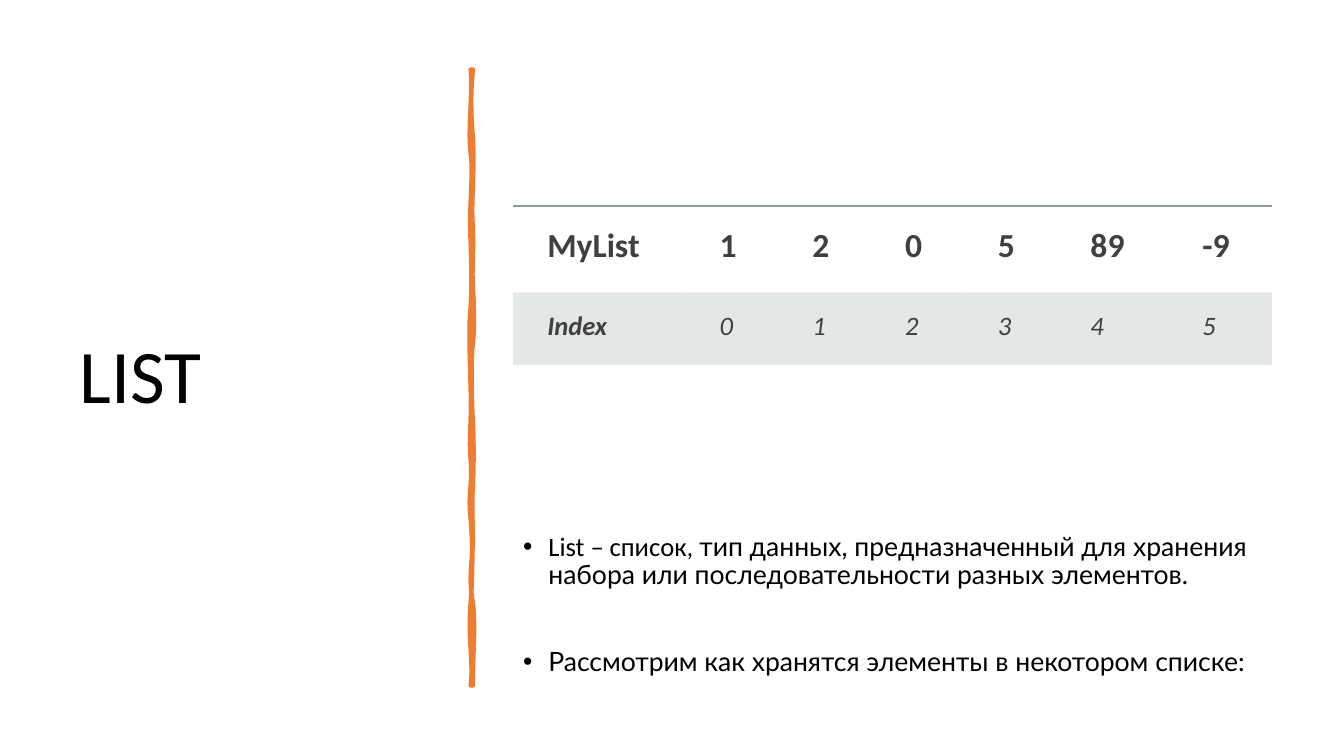
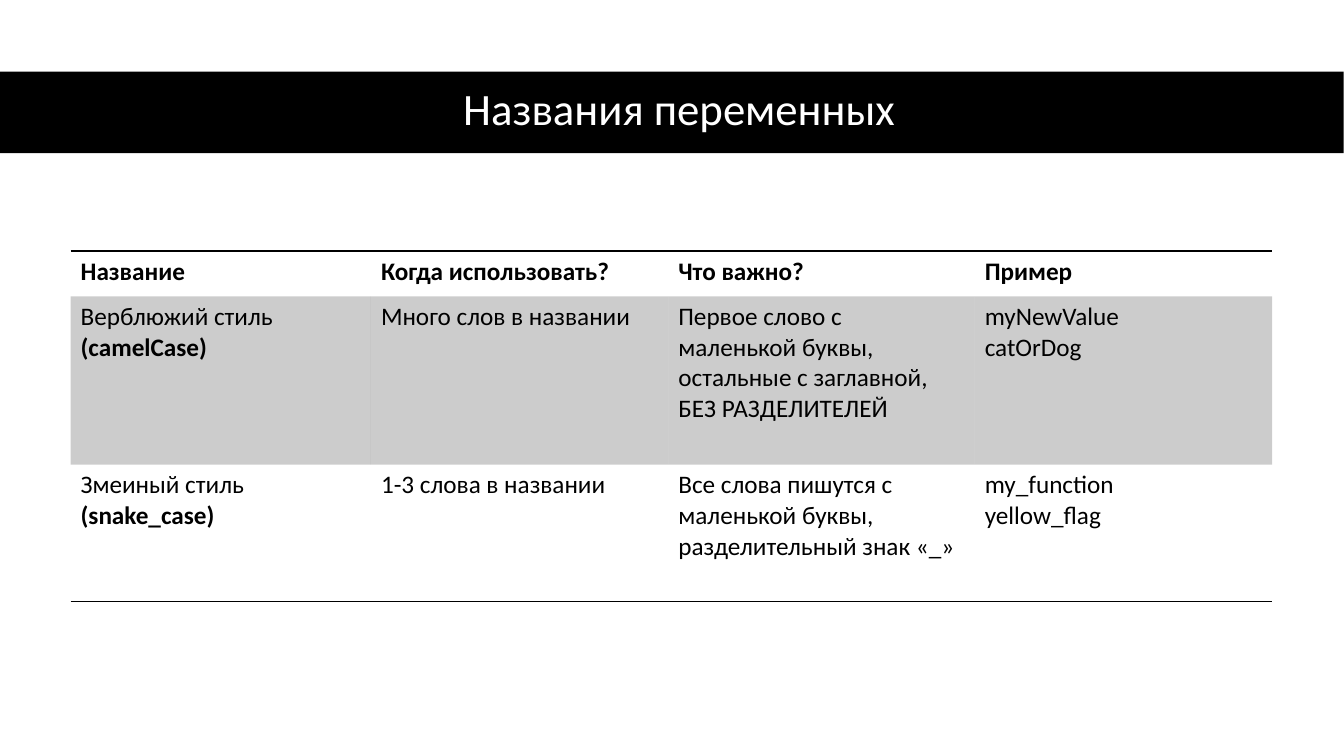
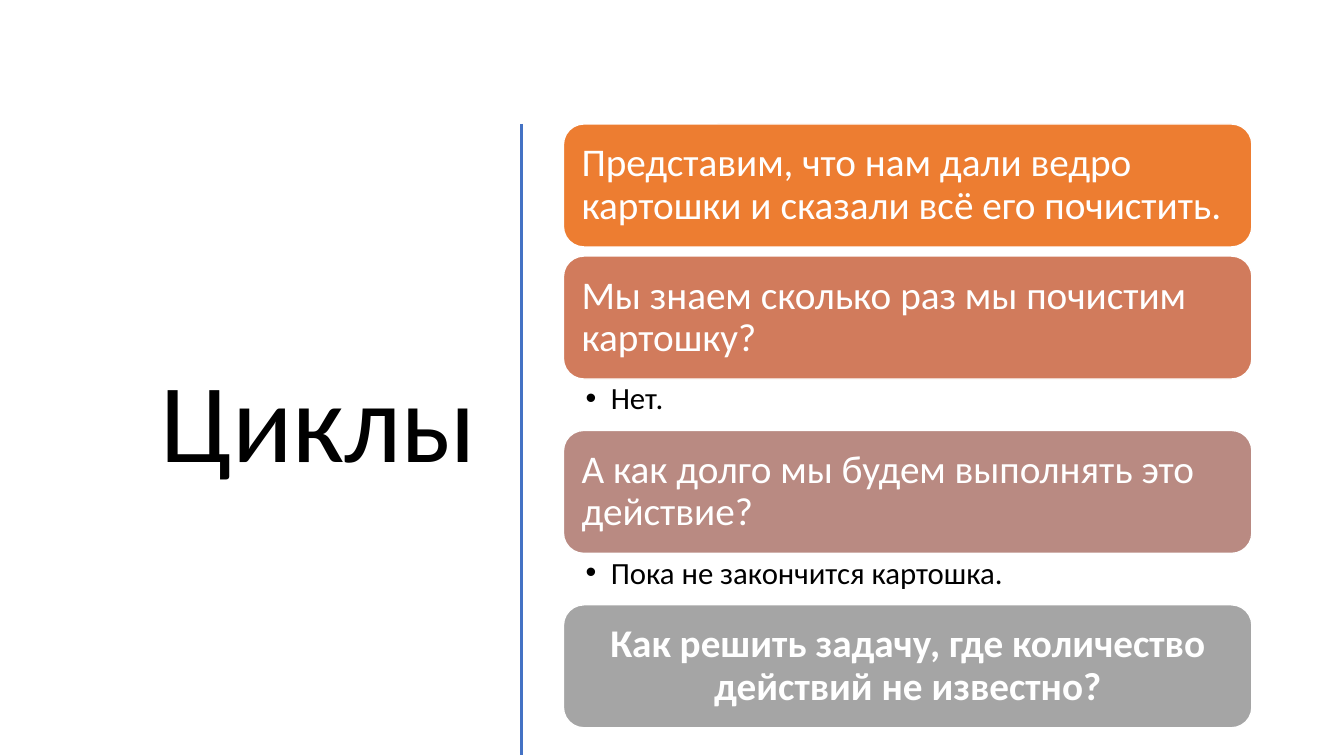
from dataclasses import dataclass, field
from typing import Any, Optional

from lxml import etree
from pptx import Presentation
from pptx.dml.color import RGBColor
from pptx.enum.shapes import MSO_CONNECTOR, MSO_SHAPE
from pptx.enum.text import MSO_ANCHOR, MSO_AUTO_SIZE, PP_ALIGN
from pptx.oxml.ns import qn
from pptx.util import Inches, Pt

LEFT, MID, RIGHT = PP_ALIGN.LEFT, PP_ALIGN.CENTER, PP_ALIGN.RIGHT
TOP, CENTER = MSO_ANCHOR.TOP, MSO_ANCHOR.MIDDLE
RECT, ROUND = MSO_SHAPE.RECTANGLE, MSO_SHAPE.ROUNDED_RECTANGLE
STRAIGHT, FIXED = MSO_CONNECTOR.STRAIGHT, MSO_AUTO_SIZE.NONE

HEX = {
    "black": "000000", "white": "FFFFFF", "text": "404040",
    "orange": "ED7D31", "rust": "D17B5C", "rose": "B98A82",
    "gray": "A5A5A5", "blue": "4472C4", "rule": "8F9A9D",
    "pale": "B4BCBE",
}
FONT = "Calibri"
Box = tuple[float, float, float, float]


@dataclass
class Run:
    text: str
    size: float = 18
    color: str = "black"
    bold: bool = False
    italic: bool = False
    font: str = FONT


@dataclass
class Tint:
    color: str
    alpha: int = 100
    width: float = 1


@dataclass
class Row:
    height: float
    cells: list[list[list[Run]]]
    inset: Box
    fill: Optional[Tint] = None
    rules: dict[str, Tint] = field(default_factory=dict)


@dataclass
class Card:
    text: str
    color: str
    answer: str = ""
    align: Any = LEFT
    bold: bool = False


def rgb(name: str) -> RGBColor:
    return RGBColor.from_string(HEX[name])


def place(shape: Any, box: Box) -> None:
    shape.left, shape.top, shape.width, shape.height = map(Inches, box)


def frame(shape: Any, inset: Box, anchor: Any) -> Any:
    text = shape.text_frame
    text.word_wrap, text.auto_size = True, FIXED
    text.vertical_anchor = anchor
    (text.margin_left, text.margin_top,
     text.margin_right, text.margin_bottom) = map(Inches, inset)
    return text


def write(para: Any, runs: list[Run]) -> None:
    for item in runs:
        run = para.add_run()
        run.text = item.text
        font = run.font
        font.name, font.size = item.font, Pt(item.size)
        font.bold, font.italic = item.bold, item.italic
        font.color.rgb = rgb(item.color)


def bullet(para: Any) -> None:
    props = para._p.get_or_add_pPr()
    props.set("marL", str(Inches(0.25)))
    props.set("indent", str(-Inches(0.25)))
    etree.SubElement(props, qn("a:buFont")).set("typeface", "Arial")
    etree.SubElement(props, qn("a:buChar")).set("char", "•")


def title(slide: Any, text: str, box: Box, size: float,
          align: Any = LEFT, color: str = "black") -> Any:
    shape = slide.shapes.title
    place(shape, box)
    para = frame(shape, (0.1, 0.05, 0.1, 0.05), CENTER).paragraphs[0]
    para.alignment, para.line_spacing = align, 0.9
    write(para, [Run(text, size, color)])
    return shape


def block(slide: Any, kind: Any, box: Box, color: str) -> Any:
    shape = slide.shapes.add_shape(kind, *map(Inches, box))
    shape.shadow.inherit = False
    shape.fill.solid()
    shape.fill.fore_color.rgb = rgb(color)
    shape.line.fill.background()
    return shape


def paint(parent: Any, tint: Optional[Tint]) -> None:
    if tint is None:
        etree.SubElement(parent, qn("a:noFill"))
        return
    fill = etree.SubElement(parent, qn("a:solidFill"))
    color = etree.SubElement(fill, qn("a:srgbClr"))
    color.set("val", HEX[tint.color])
    if tint.alpha < 100:
        etree.SubElement(color, qn("a:alpha")).set(
            "val", str(tint.alpha * 1000))


def dress(cell: Any, row: Row) -> None:
    props = cell._tc.get_or_add_tcPr()
    for side in ("L", "R", "T", "B"):
        line = etree.SubElement(props, qn(f"a:ln{side}"))
        tint = row.rules.get(side)
        if tint:
            line.set("w", str(Pt(tint.width)))
        paint(line, tint)
    paint(props, row.fill)


def grid(slide: Any, left: float, top: float,
         widths: list[float], rows: list[Row]) -> None:
    box = (left, top, sum(widths), sum(row.height for row in rows))
    table = slide.shapes.add_table(
        len(rows), len(widths), *map(Inches, box)).table
    table.first_row = table.horz_banding = False
    for col, width in zip(table.columns, widths):
        col.width = Inches(width)
    for line, row in zip(table.rows, rows):
        line.height = Inches(row.height)
        for cell, paras in zip(line.cells, row.cells):
            (cell.margin_left, cell.margin_top,
             cell.margin_right, cell.margin_bottom) = map(Inches, row.inset)
            for num, runs in enumerate(paras):
                text = cell.text_frame
                write(text.add_paragraph() if num else text.paragraphs[0], runs)
            dress(cell, row)


# Brush stroke: each curve is two control points and an end point
START = (4.69, 0.69)
CURVES = [
    (4.68, 0.69, 4.67, 0.69, 4.67, 0.69), (4.69, 0.94, 4.64, 1.3, 4.67, 1.52),
    (4.7, 1.73, 4.65, 2.05, 4.67, 2.4), (4.68, 2.76, 4.68, 2.88, 4.67, 3.04),
    (4.65, 3.21, 4.66, 3.53, 4.67, 3.87), (4.68, 4.21, 4.65, 4.33, 4.67, 4.57),
    (4.69, 4.82, 4.64, 4.89, 4.67, 5.15), (4.69, 5.41, 4.69, 5.62, 4.67, 5.98),
    (4.64, 6.33, 4.7, 6.6, 4.67, 6.8), (4.67, 6.8, 4.68, 6.8, 4.69, 6.8),
    (4.69, 6.43, 4.72, 6.22, 4.69, 5.98), (4.65, 5.74, 4.68, 5.61, 4.69, 5.4),
    (4.69, 5.19, 4.68, 4.98, 4.69, 4.82), (4.7, 4.66, 4.7, 4.33, 4.69, 4.17),
    (4.68, 4.02, 4.67, 3.57, 4.69, 3.41), (4.71, 3.25, 4.7, 3, 4.69, 2.83),
    (4.68, 2.66, 4.7, 2.5, 4.69, 2.25), (4.67, 2, 4.71, 1.73, 4.69, 1.36),
    (4.66, 1, 4.68, 0.83, 4.69, 0.69),
]


def brush(slide: Any) -> None:
    ends = [tuple(map(Inches, curve[4:])) for curve in CURVES]
    outline = slide.shapes.build_freeform(*map(Inches, START), scale=1.0)
    outline.add_line_segments(ends, close=True)
    shape = outline.convert_to_shape()
    # Bend the straight segments
    lines = list(shape._element.iter(qn("a:lnTo")))
    for line, curve in zip(lines, CURVES):
        line.tag = qn("a:cubicBezTo")
        for child in list(line):
            line.remove(child)
        for x, y in zip(curve[::2], curve[1::2]):
            point = etree.SubElement(line, qn("a:pt"))
            point.set("x", str(Inches(x) - shape.left))
            point.set("y", str(Inches(y) - shape.top))
    shape.shadow.inherit = False
    shape.fill.solid()
    shape.fill.fore_color.rgb = rgb("orange")
    shape.line.color.rgb = rgb("orange")
    shape.line.width = Pt(3.25)


def lists(deck: Any) -> None:
    slide = deck.slides.add_slide(deck.slide_layouts[1])
    title(slide, "LIST", (0.69, 0.7, 3.74, 6.11), 54)
    brush(slide)

    # Definition
    body = slide.placeholders[1]
    place(body, (5.09, 5.24, 7.54, 1.56))
    text = frame(body, (0.1, 0.05, 0.1, 0.05), TOP)
    items = [
        [Run("List – список, ", 19),
         Run("тип данных, предназначенный для хранения набора или "
             "последовательности разных элементов.", 19, font="Lato")],
        [Run("Рассмотрим как хранятся элементы в некотором списке:", 19,
             font="Lato")],
    ]
    for num, runs in enumerate(items):
        para = text.add_paragraph() if num else text.paragraphs[0]
        para.line_spacing, para.space_before = 0.9, Pt(41 * num)
        bullet(para)
        write(para, runs)

    # Values and their indexes
    head = [[[Run(word, 24, "text", True)]]
            for word in ("MyList", "1", "2", "0", "5", "89", "-9")]
    index = [[[Run(word, 19, "text", word == "Index", True)]]
             for word in ("Index", *map(str, range(6)))]
    grid(slide, 5.09, 2.04, [1.71] + [0.92] * 4 + [1.11, 1.03], [
        Row(0.86, head, (0.34, 0.2, 0.2, 0.2),
            rules={"T": Tint("rule", 60, 1.5)}),
        Row(0.72, index, (0.34, 0.18, 0.18, 0.18), Tint("pale", 35)),
    ])


def names(deck: Any) -> None:
    slide = deck.slides.add_slide(deck.slide_layouts[5])
    bar = block(slide, RECT, (0, 0.71, 13.33, 0.81), "black")
    head = title(slide, "Названия переменных", (0.61, 0.7, 12.26, 0.81),
                 32, MID, "white")
    bar._element.addnext(head._element)

    # Naming styles
    inset, rule = (0.1, 0.05, 0.1, 0.05), Tint("black")
    tops = ("Название", "Когда использовать?", "Что важно?", "Пример")
    camel = [
        [[Run("Верблюжий стиль "), Run("(camelCase)", bold=True)]],
        [[Run("Много слов в названии")]],
        [[Run("Первое слово с маленькой буквы, остальные с заглавной, "
              "БЕЗ РАЗДЕЛИТЕЛЕЙ")]],
        [[Run("myNewValue")], [Run("catOrDog")]],
    ]
    snake = [
        [[Run("Змеиный стиль "), Run("(snake_case)", bold=True)]],
        [[Run("1-3 слова в названии")]],
        [[Run("Все слова пишутся с маленькой буквы, "
              "разделительный знак «_»")]],
        [[Run("my_function")], [Run("yellow_flag")]],
    ]
    grid(slide, 0.7, 2.49, [2.98, 2.95, 3.04, 2.95], [
        Row(0.45, [[[Run(word, bold=True)]] for word in tops], inset,
            rules={"T": rule, "B": rule}),
        Row(1.67, camel, inset, Tint("black", 20)),
        Row(1.36, snake, inset, rules={"B": rule}),
    ])


CARDS = [
    Card("Представим, что нам дали ведро картошки и сказали всё его почистить.",
         "orange"),
    Card("Мы знаем сколько раз мы почистим картошку?", "rust", "Нет."),
    Card("А как долго мы будем выполнять это действие?", "rose",
         "Пока не закончится картошка."),
    Card("Как решить задачу, где количество действий не известно?", "gray",
         align=MID, bold=True),
]


def loops(deck: Any) -> None:
    slide = deck.slides.add_slide(deck.slide_layouts[5])
    title(slide, "Циклы", (0.52, 1.17, 4.31, 6.11), 80, RIGHT)
    line = slide.shapes.add_connector(
        STRAIGHT, *map(Inches, (5.17, 1.23, 5.17, 7.49)))
    line.line.color.rgb, line.line.width = rgb("blue"), Pt(2)
    etree.SubElement(line._element.spPr, qn("a:effectLst"))

    # Questions with answers below
    left, top, wide, high, gap, room = 5.59, 1.23, 6.83, 1.22, 0.09, 0.51
    for card in CARDS:
        shape = block(slide, ROUND, (left, top, wide, high), card.color)
        shape.line.color.rgb, shape.line.width = rgb("white"), Pt(1)
        para = frame(shape, (0.12,) * 4, CENTER).paragraphs[0]
        para.alignment, para.line_spacing = card.align, 0.9
        write(para, [Run(card.text, 28, "white", card.bold)])
        top += high
        if card.answer:
            note = slide.shapes.add_textbox(
                *map(Inches, (left, top, wide, room)))
            para = frame(note, (0.22, 0.04, 0.22, 0.04), TOP).paragraphs[0]
            para.line_spacing = 0.9
            bullet(para)
            write(para, [Run(card.answer, 22)])
        top += room if card.answer else gap


def main() -> None:
    deck = Presentation()
    deck.slide_width, deck.slide_height = Inches(40 / 3), Inches(7.5)
    for build in (lists, names, loops):
        build(deck)
    deck.save("out.pptx")


if __name__ == "__main__":
    main()
